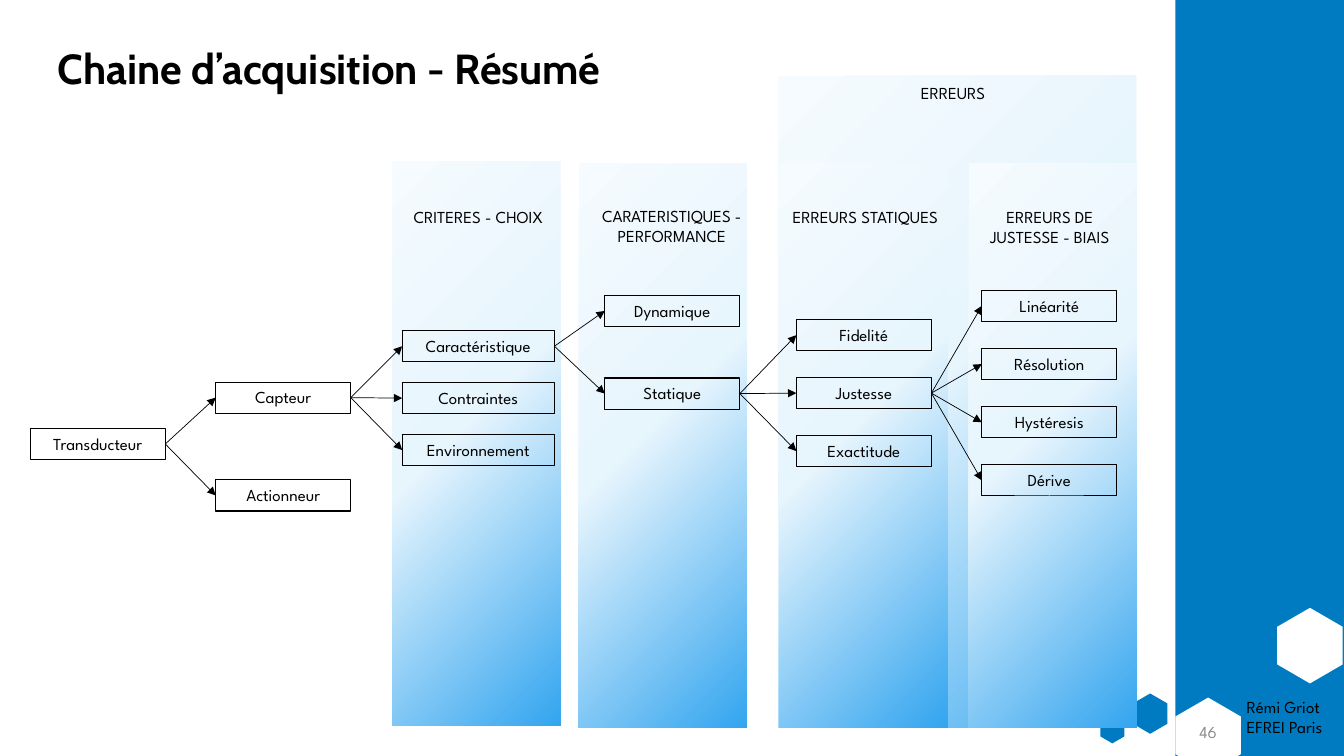
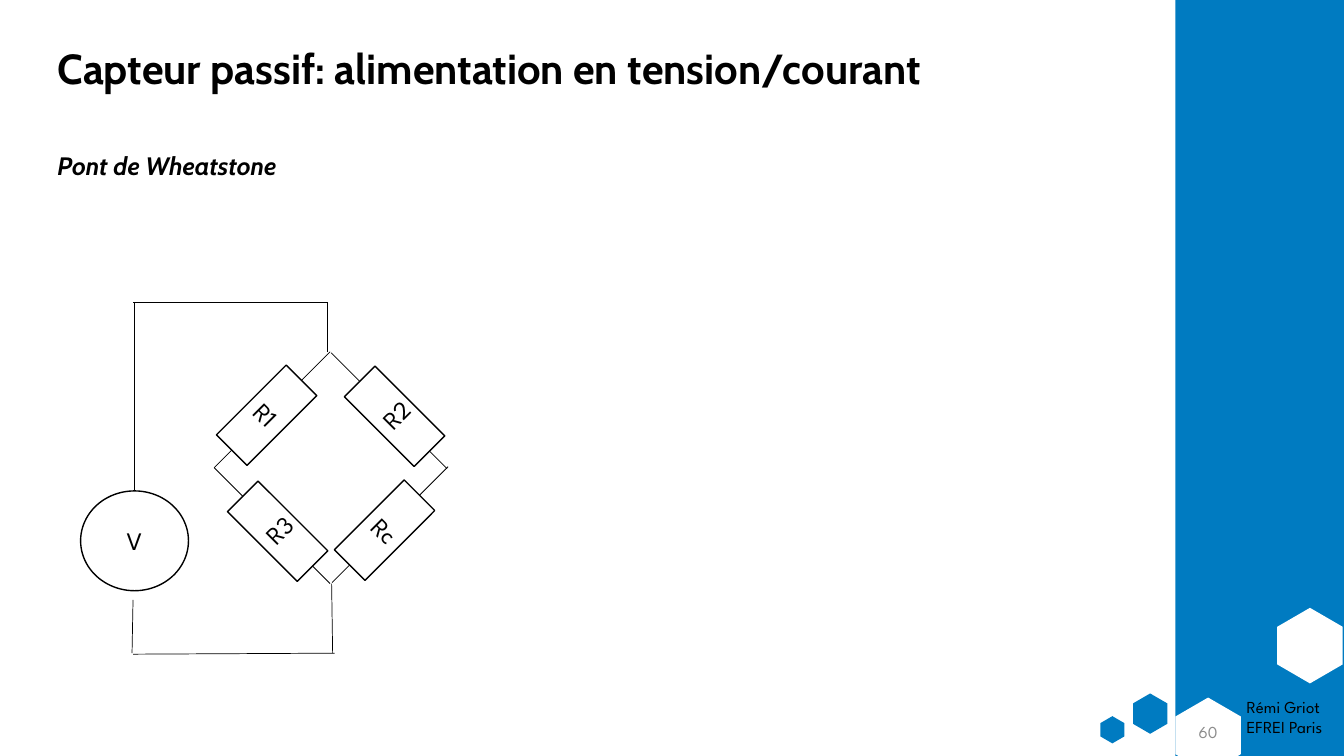
from copy import deepcopy
from dataclasses import dataclass

from lxml import etree
from pptx import Presentation
from pptx import util as u
from pptx.dml.color import RGBColor
from pptx.enum import shapes, text
from pptx.oxml.ns import qn

# The slide is a grid of square cells, ten to the inch.
COLUMNS, ROWS = 133.33, 75
BLACK, WHITE, BLUE, GREY = "000000", "FFFFFF", "007BC1", "8C8C8C"
GRADIENT = ((0, "F5FBFE"), (0.46, "E7F5FD"), (1, "33A5EF"))
TITLE_FONT, TEXT_FONT = "Cabin", "League Spartan"
CENTER, LEFT = text.PP_ALIGN.CENTER, text.PP_ALIGN.LEFT
TOP, MIDDLE = text.MSO_ANCHOR.TOP, text.MSO_ANCHOR.MIDDLE
SHAPE = shapes.MSO_SHAPE
LEFT_SITE, RIGHT_SITE = 1, 3
NODE_HEIGHT = 3.1


@dataclass(frozen=True)
class Frame:
    left: float
    top: float
    width: float
    height: float


@dataclass(frozen=True)
class Panel:
    frame: Frame
    heading: str
    heading_left: float
    heading_top: float


@dataclass(frozen=True)
class Branch:
    """Boxes stacked at equal steps, all reached from one parent box."""
    parent: str
    left: float
    top: float
    step: float
    width: float
    labels: tuple[str, ...]


@dataclass(frozen=True)
class Resistor:
    """side is 1 when the upper end leans right and -1 when it leans left."""
    label: str
    x: float
    y: float
    side: int


HEXAGONS = (
    (Frame(126.2, 60.8, 7.5, 6.5), WHITE),
    (Frame(112.1, 69.1, 4, 3.4), BLUE),
    (Frame(109, 71.2, 2.7, 2.4), BLUE),
    (Frame(116.1, 69.7, 7.5, 6.5), WHITE),
)
PANELS = (
    Panel(Frame(77.2, 7.5, 35.5, 64.7), "ERREURS", 85.8, 7.7),
    Panel(Frame(57.4, 16.2, 16.7, 56), "CARATERISTIQUES - PERFORMANCE", 57.9, 19.9),
    Panel(Frame(77.3, 16.2, 16.7, 56), "ERREURS STATIQUES", 77.1, 20),
    Panel(Frame(96.1, 16.2, 16.7, 56), "ERREURS DE JUSTESSE - BIAIS", 95.4, 20),
    Panel(Frame(38.9, 16, 16.7, 56), "CRITERES - CHOIX", 38.7, 20),
)
BRANCHES = (
    Branch("", 3, 42.5, 0, 13.4, ("Transducteur",)),
    Branch("Transducteur", 21.4, 37.9, 9.7, 13.4, ("Capteur", "Actionneur")),
    Branch("Capteur", 39.9, 32.8, 5.15, 15.1,
           ("Caractéristique", "Contraintes", "Environnement")),
    Branch("Caractéristique", 60, 29.3, 8.2, 13.4, ("Dynamique", "Statique")),
    Branch("Statique", 79, 31.7, 5.75, 13.4, ("Fidelité", "Justesse", "Exactitude")),
    Branch("Justesse", 97.4, 28.8, 5.77, 13.4,
           ("Linéarité", "Résolution", "Hystéresis", "Dérive")),
)
RESISTORS = (
    Resistor("R2", 39.15, 41.3, -1),
    Resistor("R1", 26.45, 41.2, 1),
    Resistor("Rc", 38.15, 52.6, 1),
    Resistor("R3", 27.55, 52.7, -1),
)
WIRES = (
    (13.3, 48.7, 13.3, 30.1),
    (13.2, 30, 32.5, 30),
    (32.5, 30, 32.5, 34.9),
    (13.1, 64.8, 13.2, 59.5),
    (13.2, 64.9, 33.2, 64.8),
    (33, 64.8, 32.9, 57.9),
)


def cells(count: float) -> int:
    return u.Inches(count / 10)


def color(value: str) -> RGBColor:
    return RGBColor.from_string(value)


def place(shape, frame: Frame) -> None:
    shape.left, shape.top = cells(frame.left), cells(frame.top)
    shape.width, shape.height = cells(frame.width), cells(frame.height)


def write(shape, *lines: str, size: float = 12, font: str = TEXT_FONT, ink: str = BLACK,
          bold: bool = False, italic: bool = False, align=CENTER, anchor=TOP,
          spacing: float = 1) -> None:
    box = shape.text_frame
    box.word_wrap = True
    box.auto_size = text.MSO_AUTO_SIZE.NONE
    box.vertical_anchor = anchor
    for index, line in enumerate(lines):
        para = box.add_paragraph() if index else box.paragraphs[0]
        para.alignment = align
        para.line_spacing = spacing
        para.space_before = u.Pt(0)
        span = para.add_run()
        span.text = line
        span.font.name, span.font.size = font, u.Pt(size)
        span.font.bold, span.font.italic = bold, italic
        span.font.color.rgb = color(ink)


def add_label(page, frame: Frame, *lines: str, **style):
    label = page.shapes.add_textbox(0, 0, 0, 0)
    place(label, frame)
    write(label, *lines, **style)
    return label


def add_box(page, kind, frame: Frame, fill: str = "", outline: float = 0, rotation: float = 0):
    box = page.shapes.add_shape(kind, 0, 0, 0, 0)
    place(box, frame)
    box.shadow.inherit = False
    box.rotation = rotation
    if fill:
        box.fill.solid()
        box.fill.fore_color.rgb = color(fill)
    else:
        box.fill.background()
    if outline:
        box.line.color.rgb = color(BLACK)
        box.line.width = u.Pt(outline)
    else:
        box.line.fill.background()
    return box


def add_wire(page, x1: float, y1: float, x2: float, y2: float):
    wire = page.shapes.add_connector(
        shapes.MSO_CONNECTOR.STRAIGHT, cells(x1), cells(y1), cells(x2), cells(y2))
    wire.line.color.rgb = color(BLACK)
    wire.line.width = u.Pt(0.5)
    etree.SubElement(wire._element.spPr, qn("a:effectLst"))
    return wire


def add_arrow(page, parent, child) -> None:
    arrow = add_wire(page, 0, 0, 0, 0)
    arrow.begin_connect(parent, RIGHT_SITE)
    arrow.end_connect(child, LEFT_SITE)
    etree.SubElement(arrow.line._get_or_add_ln(), qn("a:tailEnd"), type="triangle")


def add_page(deck, layout: int, title: str, number: str):
    """Start a slide with the shared band, hexagons, signature, number and title."""
    page = deck.slides.add_slide(deck.slide_layouts[layout])
    add_box(page, SHAPE.RECTANGLE, Frame(116.6, 0, COLUMNS - 116.6, ROWS), BLUE)
    for frame, fill in HEXAGONS:
        hexagon = add_box(page, SHAPE.HEXAGON, frame, fill, rotation=90)
        hexagon.adjustments[0] = 0.29
    add_label(page, Frame(122.7, 68.6, 11, 5), "Rémi Griot", "EFREI Paris", align=LEFT)
    add_label(page, Frame(116.6, 70.6, 6.5, 4), number, ink=GREY, anchor=MIDDLE)
    place(page.shapes.title, Frame(4.7, -0.2, 108.2, 14.5))
    write(page.shapes.title, title, size=30, font=TITLE_FONT, bold=True,
          align=LEFT, anchor=MIDDLE, spacing=0.9)
    return page


def add_panel(page, panel: Panel) -> None:
    box = add_box(page, SHAPE.RECTANGLE, panel.frame)
    box.fill.gradient()
    box.fill.gradient_angle = 315
    stop_list = box._element.spPr.find(".//" + qn("a:gsLst"))
    stop_list.insert(1, deepcopy(stop_list[0]))
    for stop, (position, tint) in zip(box.fill.gradient_stops, GRADIENT):
        stop.position = position
        stop.color.rgb = color(tint)
    add_label(page, Frame(panel.heading_left, panel.heading_top, 17.5, 5), panel.heading)


def add_tree(page) -> None:
    nodes = {}
    for branch in BRANCHES:
        for row, label in enumerate(branch.labels):
            frame = Frame(branch.left, branch.top + row * branch.step,
                          branch.width, NODE_HEIGHT)
            node = add_box(page, SHAPE.RECTANGLE, frame, outline=0.75)
            write(node, label)
            nodes[label] = node
            if branch.parent:
                add_arrow(page, nodes[branch.parent], node)


def add_resistor(page, part: Resistor) -> None:
    x, y, side = part.x, part.y, part.side
    angle = 45 if side > 0 else 315
    add_box(page, SHAPE.RECTANGLE, Frame(x - 2.15, y - 4.9, 4.3, 9.8), WHITE, 1, angle)
    label = add_label(page, Frame(x - 2.45, y - 2 + 0.75 * side, 6.4, 4), part.label,
                      size=18, align=LEFT)
    label.rotation = angle
    for outer, inner in ((6.3, 3.45), (-5.2, -3.45)):
        add_wire(page, x + side * outer, y - outer, x + side * inner, y - inner)


def build_summary(deck) -> None:
    page = add_page(deck, 5, "Chaine d’acquisition - Résumé", "46")
    for panel in PANELS:
        add_panel(page, panel)
    add_tree(page)


def build_bridge(deck) -> None:
    page = add_page(deck, 1, "Capteur passif: alimentation en tension/courant", "60")
    body = page.placeholders[1]
    place(body, Frame(4.7, 14.7, 53.9, 4))
    properties = body.text_frame.paragraphs[0]._p.get_or_add_pPr()
    properties.set("marL", "0")
    properties.set("indent", "0")
    etree.SubElement(properties, qn("a:buNone"))
    write(body, "Pont de Wheatstone", size=18, font=TITLE_FONT, bold=True, italic=True,
          align=LEFT, spacing=0.9)
    source = add_box(page, SHAPE.OVAL, Frame(8, 48.7, 10.7, 9.9), WHITE, 1)
    write(source, "V", size=18, anchor=MIDDLE)
    for wire in WIRES:
        add_wire(page, *wire)
    for part in RESISTORS:
        add_resistor(page, part)


def main() -> None:
    deck = Presentation()
    deck.slide_width, deck.slide_height = cells(COLUMNS), cells(ROWS)
    build_summary(deck)
    build_bridge(deck)
    deck.save("out.pptx")


if __name__ == "__main__":
    main()
